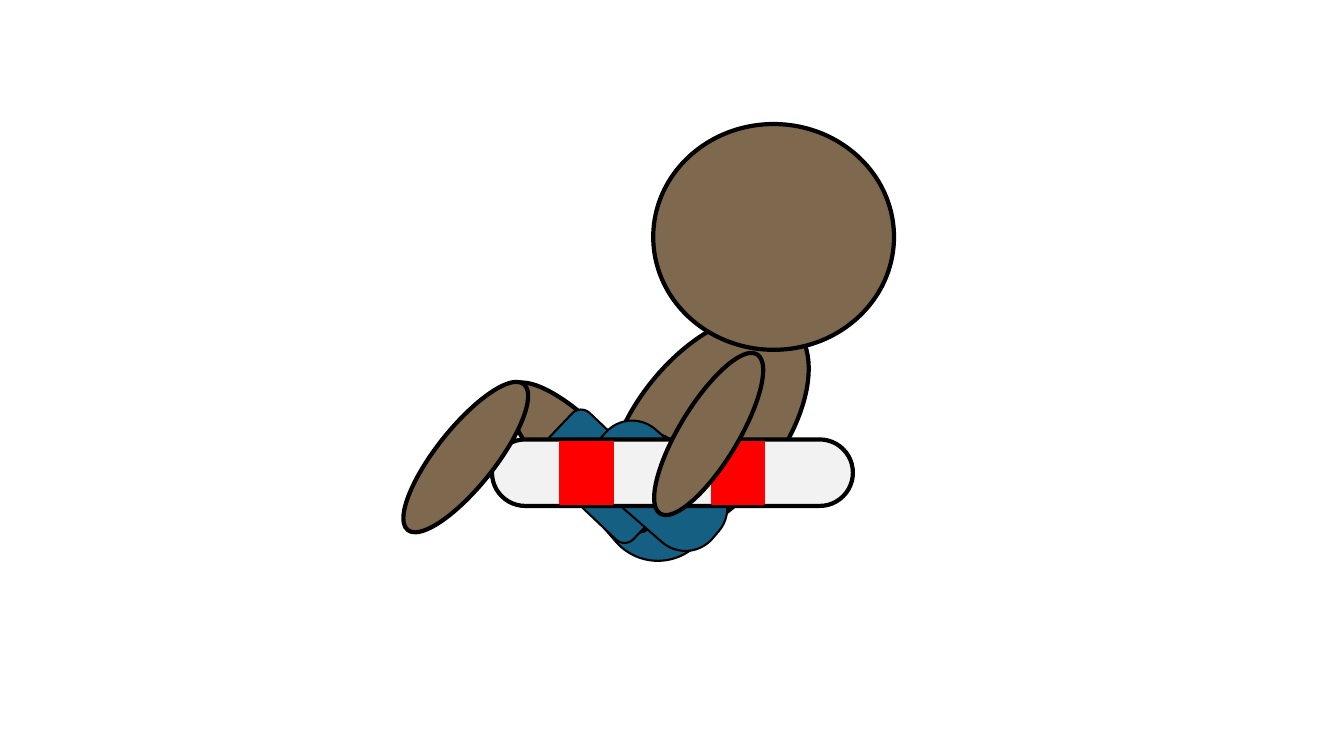
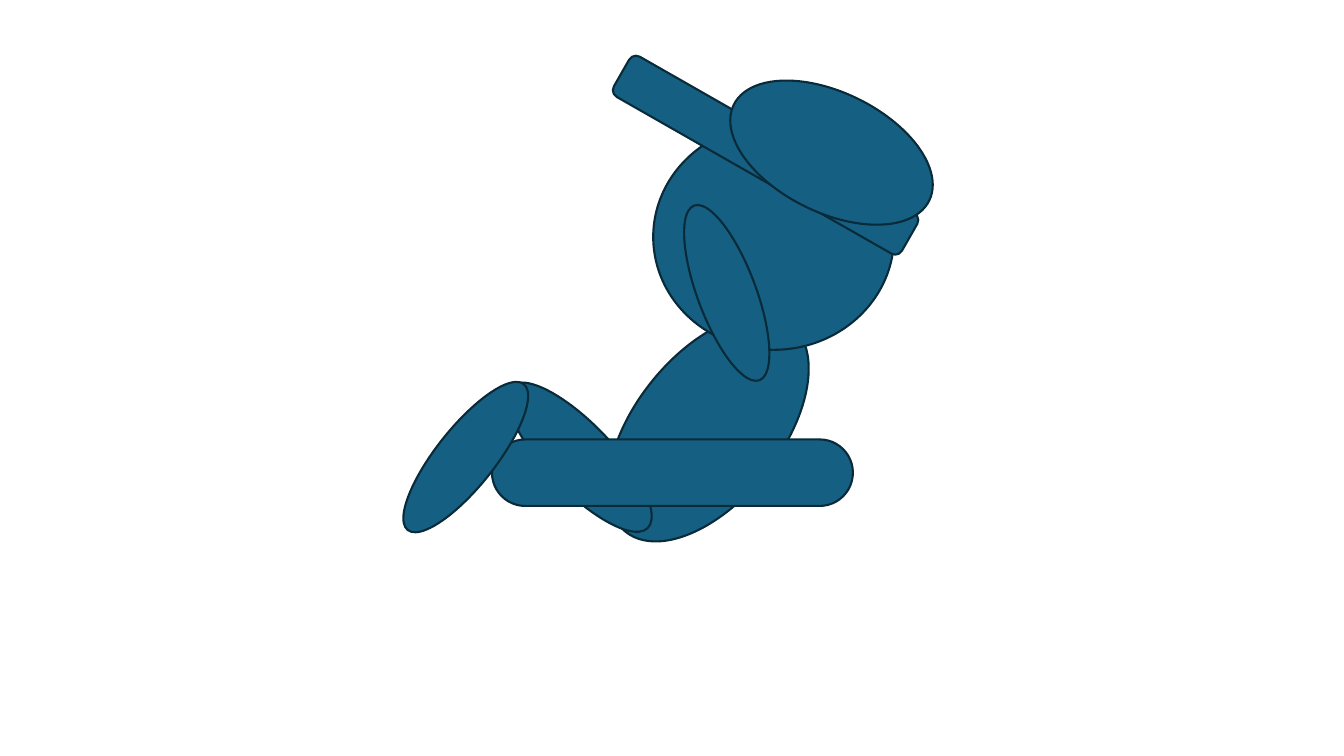
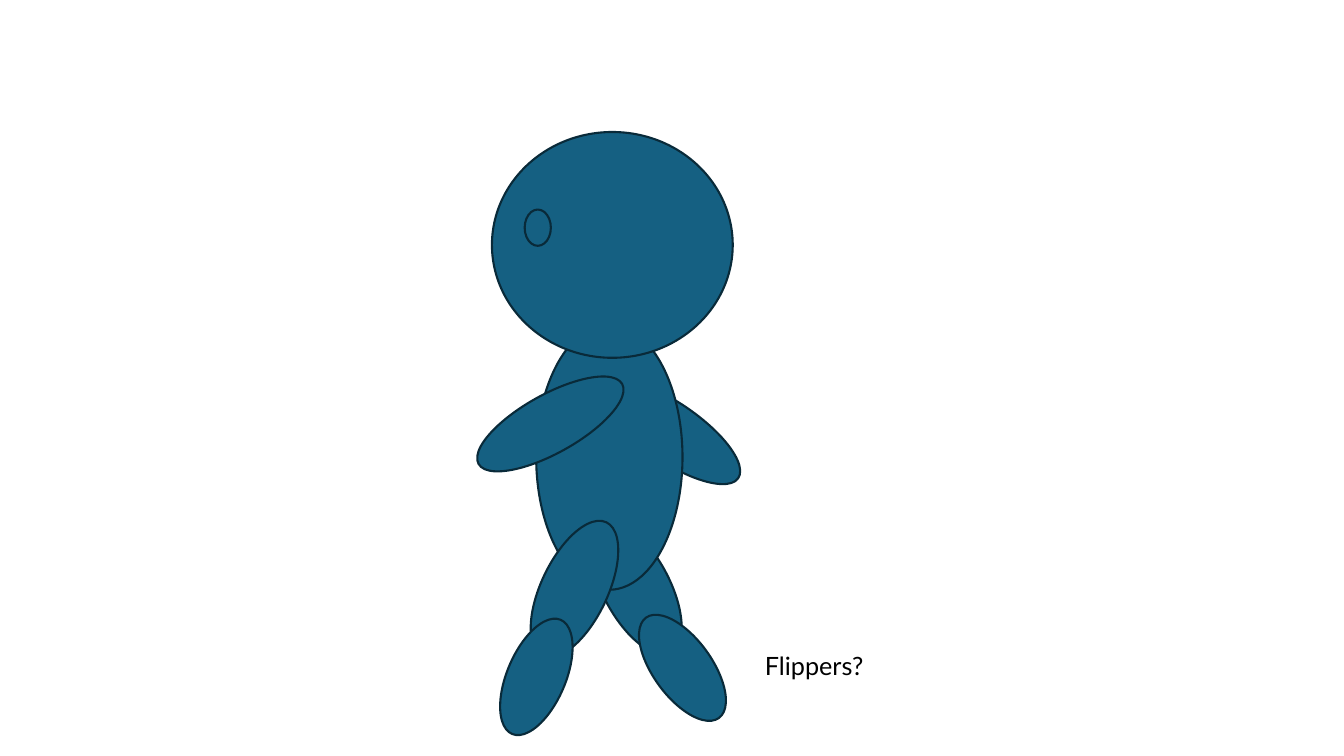
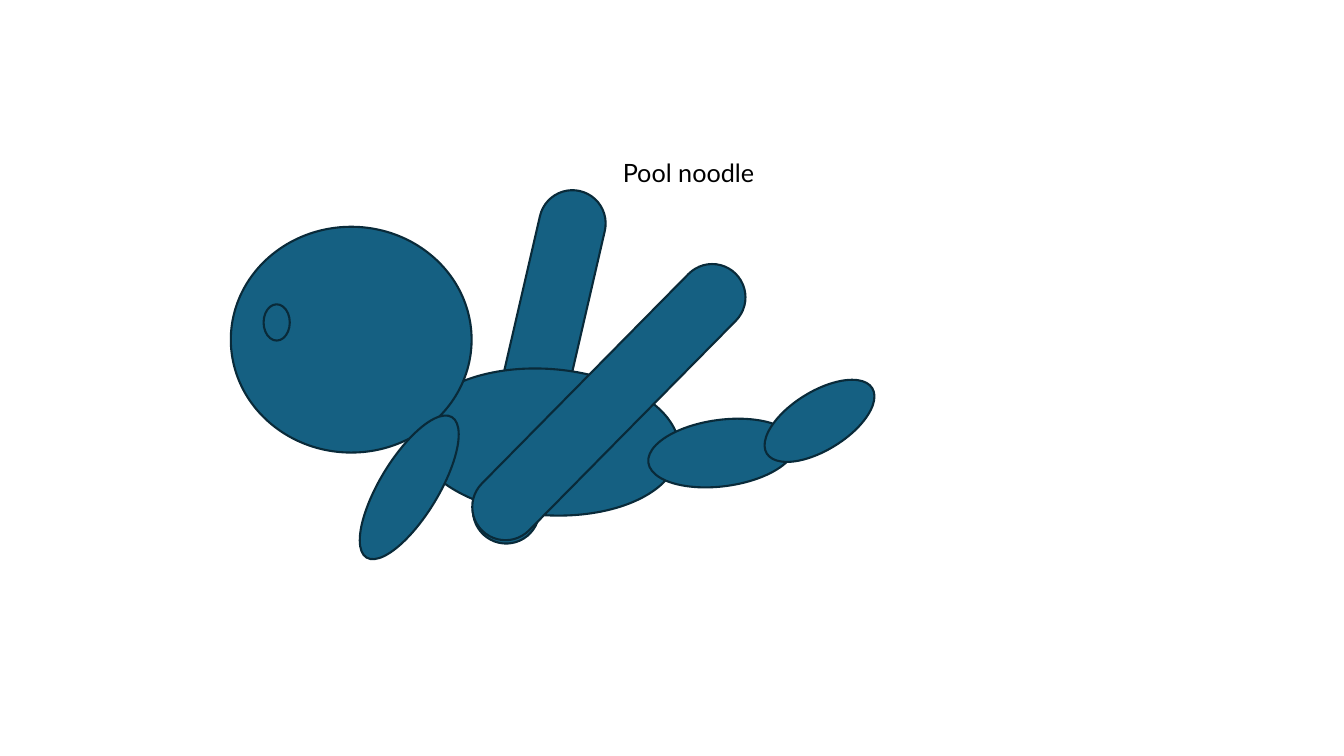
import pptx
import pptx.dml.color
import pptx.enum.shapes
import pptx.enum.text
import pptx.util

Pt = pptx.util.Pt
SHAPES = pptx.enum.shapes.MSO_SHAPE
OVAL, ROUNDED, RECT = SHAPES.OVAL, SHAPES.ROUNDED_RECTANGLE, SHAPES.RECTANGLE

BLUE, NAVY, BLACK, RED = "156082", "092A39", "000000", "FF0000"
PLAIN = (BLUE, NAVY, 1.5)
SKIN = ("7E694E", BLACK, 3)
SHORTS = (BLUE, BLACK, 1.5)
RING = ("F2F2F2", BLACK, 3)
STRIPE = (RED, RED, 1.5)

HEAD = (172, 161.3)
TORSO = (104.5, 189.5)
LONG_THIGH, THIGH = (47.5, 140.5), (47.5, 105.8)
LONG_LIMB, ARM, SHIN = (41.8, 133.2), (41.8, 117.4), (41.8, 88.6)
TUBE = (257.8, 47.5)
EYE = (18.7, 25.9)


def rgb(value):
    return pptx.dml.color.RGBColor.from_string(value)


def add_part(slide, box, at, size, rot=0, style=PLAIN, kind=OVAL, adj=None):
    sp = slide.shapes.add_shape(kind, Pt(box[0] + at[0]), Pt(box[1] + at[1]),
                                Pt(size[0]), Pt(size[1]))
    fill, line, width = style
    sp.rotation = rot
    sp.shadow.inherit = False
    sp.fill.solid()
    sp.fill.fore_color.rgb = rgb(fill)
    sp.line.color.rgb = rgb(line)
    sp.line.width = Pt(width)
    if adj is not None:
        sp.adjustments[0] = adj


def add_tube(slide, box, at, rot=0, style=PLAIN):
    add_part(slide, box, at, TUBE, rot, style, ROUNDED, 0.5)


def add_head(slide, box, at):
    add_part(slide, box, at, HEAD)
    add_part(slide, box, (at[0] + 23.4, at[1] + 55.4), EYE)


def add_label(slide, box, at, width, text):
    tb = slide.shapes.add_textbox(Pt(box[0] + at[0]), Pt(box[1] + at[1]), Pt(width), Pt(29))
    tf = tb.text_frame
    tf.word_wrap = True
    tf.auto_size = pptx.enum.text.MSO_AUTO_SIZE.SHAPE_TO_FIT_TEXT
    tf.text = text
    font = tf.paragraphs[0].runs[0].font
    font.name = "Lato"
    font.size = Pt(18)
    font.color.rgb = rgb(BLACK)


def floating_body(slide, box, body=PLAIN, ring=PLAIN, shorts=None):
    add_part(slide, box, (165.6, 175), TORSO, 38.5, body)
    if shorts:
        add_part(slide, box, (127.4, 278.6), (97.2, 79.2), 49, shorts, ROUNDED, 0.5)
    add_part(slide, box, (102.2, 220.3), LONG_THIGH, 136.2, body)
    if shorts:
        add_part(slide, box, (95.8, 277.9), (93.6, 52.6), 43.5, shorts, ROUNDED)
        add_part(slide, box, (128.9, 282.2), (107.3, 57.6), 41.1, shorts, ROUNDED, 0.44)
    add_tube(slide, box, (63.4, 277.9), style=ring)
    add_part(slide, box, (23.8, 223.9), LONG_LIMB, 38.5, body)
    add_part(slide, box, (178.6, 52.6), HEAD, style=body)


def ring_floater(slide, box):
    floating_body(slide, box, SKIN, RING, SHORTS)
    for i in range(2):
        add_part(slide, box, (112.3 + 108 * i, 279.4), (37.4, 44.6), style=STRIPE, kind=RECT)
    add_part(slide, box, (197.3, 207.4), LONG_LIMB, 31.3, SKIN)


def masked_floater(slide, box):
    floating_body(slide, box)
    add_part(slide, box, (210.2, 106.6), LONG_LIMB, 159.5)
    add_part(slide, box, (140.4, 58.3), (236.9, 33.1), 29.7, kind=ROUNDED)
    add_part(slide, box, (228.2, 30.2), (155.5, 85.7), 26.1)


def flipper_walker(slide, box):
    add_part(slide, box, (121.9, 177.8), ARM, 304.3)
    add_part(slide, box, (94.6, 294.5), THIGH, 151.9)
    add_part(slide, box, (47, 159.8), TORSO)
    add_head(slide, box, (15.4, 22.3))
    add_part(slide, box, (50.6, 295.9), THIGH, 205.5)
    add_part(slide, box, (26.2, 367.2), SHIN, 23)
    add_part(slide, box, (36.2, 172.1), ARM, 60.9)
    add_part(slide, box, (130.6, 360.7), SHIN, 324)
    add_label(slide, box, (203.3, 388.8), 203, "Flippers?")


def noodle_swimmer(slide, box):
    add_tube(slide, box, (112.3, 130.3), 283)
    add_part(slide, box, (194.4, 113), TORSO, 274.1)
    add_tube(slide, box, (162, 155.5), 314.6)
    add_head(slide, box, (20.9, 54))
    add_part(slide, box, (347.8, 162.7), THIGH, 82.5)
    add_part(slide, box, (420.5, 148.3), SHIN, 238.2)
    add_part(slide, box, (127.4, 181.4), ARM, 31.3)
    add_label(slide, box, (293.8, 0.7), 153.4, "Pool noodle")


def main():
    prs = pptx.Presentation()
    prs.slide_width, prs.slide_height = Pt(960), Pt(540)
    figures = [
        (ring_floater, (288, 36)),
        (masked_floater, (288, 36)),
        (flipper_walker, (336, 72)),
        (noodle_swimmer, (144, 108)),
    ]
    for draw, box in figures:
        draw(prs.slides.add_slide(prs.slide_layouts[6]), box)
    prs.save("out.pptx")


if __name__ == "__main__":
    main()
